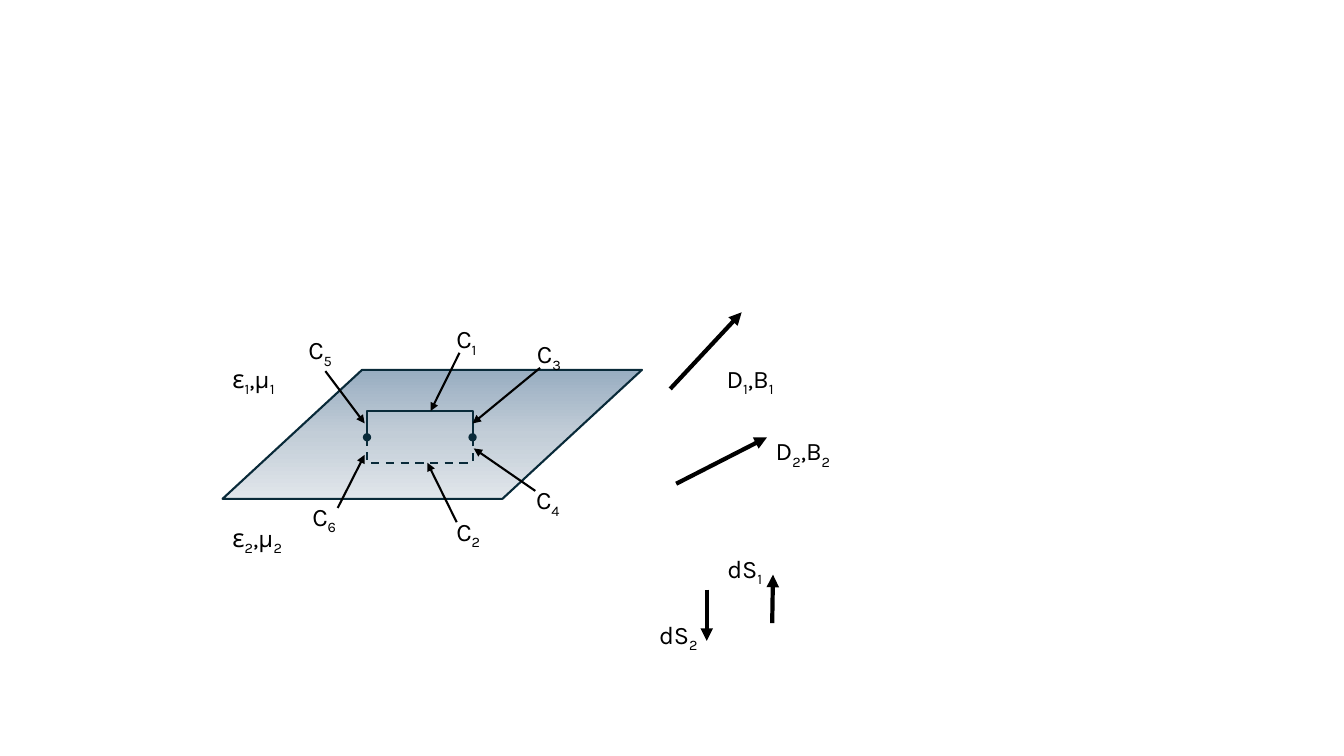
from copy import deepcopy
from itertools import groupby

from pptx import Presentation
from pptx.dml.color import RGBColor
from pptx.enum.dml import MSO_LINE
from pptx.enum.shapes import MSO_CONNECTOR, MSO_SHAPE
from pptx.enum.text import MSO_AUTO_SIZE as AutoSize
from pptx.oxml.ns import qn
from pptx.util import Cm, Pt
from lxml.etree import SubElement

FONT = "Karla"
COLORS = {
    "ink": "000000",
    "outline": "092A39",
    "plane_top": "98ADC1",
    "plane_middle": "C2CDD7",
    "plane_bottom": "E1E6EB",
}

# Labels: text (digits become subscripts), left, top, width in cm
MEDIUM_LABELS = [("ε1,μ1", 5.61, 9.02, 2.79), ("ε2,μ2", 5.61, 13.03, 2.79)]
VECTOR_LABELS = [
    ("D1,B1", 18.06, 9.02, 2.16),
    ("D2,B2", 19.3, 10.85, 2.16),
    ("dS1", 18.08, 13.82, 1.7),
    ("dS2", 16.36, 15.47, 1.7),
]
CONTOUR_LABELS = [
    ("C1", 11.25, 8.03, 1.37),
    ("C2", 11.25, 12.88, 1.37),
    ("C3", 13.28, 8.41, 1.37),
    ("C4", 13.26, 12.09, 1.37),
    ("C5", 7.52, 8.31, 1.37),
    ("C6", 7.62, 12.5, 1.37),
]

# Arrows: tail x, tail y, head x, head y in cm
VECTOR_ARROWS = [
    (16.89, 9.8, 18.69, 7.87),
    (17.04, 12.19, 19.33, 11.02),
    (19.46, 15.7, 19.48, 14.48),
    (17.81, 14.86, 17.81, 16.15),
]
CONTOUR_ARROWS = [
    (11.58, 8.89, 10.85, 10.36),
    (11.51, 13.16, 10.77, 11.66),
    (13.61, 9.27, 11.91, 10.67),
    (13.49, 12.37, 11.94, 11.3),
    (8.2, 9.35, 9.19, 10.67),
    (8.51, 12.8, 9.19, 11.46),
]

# Contour crossing the boundary, in cm
LEFT, RIGHT = 9.25, 11.91
TOP, BOUNDARY, BOTTOM = 10.36, 11.02, 11.66


def rgb(name):
    return RGBColor.from_string(COLORS[name])


def style_line(line, color, width):
    line.color.rgb = rgb(color)
    line.width = Pt(width)


def add_line_end(shape, end, kind):
    SubElement(shape.line._get_or_add_ln(), qn(f"a:{end}"), type=kind)


def add_plane(slide):
    plane = slide.shapes.add_shape(
        MSO_SHAPE.PARALLELOGRAM, Cm(5.61), Cm(9.32), Cm(10.57), Cm(3.25))
    plane.adjustments[0] = 1.082
    plane.shadow.inherit = False
    style_line(plane.line, "outline", 1.5)
    plane.fill.gradient()
    plane.fill.gradient_angle = 270
    # A third stop in the middle of the gradient
    stops = plane._element.spPr.find(qn("a:gradFill")).find(qn("a:gsLst"))
    stops.insert(1, deepcopy(stops[0]))
    shades = ("plane_top", "plane_middle", "plane_bottom")
    for index, (stop, shade) in enumerate(zip(plane.fill.gradient_stops, shades)):
        stop.position = index / 2
        stop.color.rgb = rgb(shade)


def add_half_contour(slide, far_side):
    """Draw three sides, from the boundary round the far side and back."""
    builder = slide.shapes.build_freeform(Cm(LEFT), Cm(BOUNDARY))
    corners = [(LEFT, far_side), (RIGHT, far_side), (RIGHT, BOUNDARY)]
    builder.add_line_segments([(Cm(x), Cm(y)) for x, y in corners], close=False)
    half = builder.convert_to_shape()
    half.shadow.inherit = False
    half.fill.background()
    style_line(half.line, "outline", 1.5)
    return half


def add_arrow(slide, ends, width):
    arrow = slide.shapes.add_connector(
        MSO_CONNECTOR.STRAIGHT, *[Cm(value) for value in ends])
    style_line(arrow.line, "ink", width)
    add_line_end(arrow, "tailEnd", "triangle")
    SubElement(arrow._element.spPr, qn("a:effectLst"))


def add_label(slide, text, left, top, width):
    label = slide.shapes.add_textbox(Cm(left), Cm(top), Cm(width), Cm(1.03))
    frame = label.text_frame
    frame.word_wrap = True
    frame.auto_size = AutoSize.SHAPE_TO_FIT_TEXT
    for is_subscript, letters in groupby(text, str.isdigit):
        run = frame.paragraphs[0].add_run()
        run.text = "".join(letters)
        run.font.name = FONT
        run.font.size = Pt(18)
        run.font.color.rgb = rgb("ink")
        if is_subscript:
            run.font._element.set("baseline", "-25000")


def main():
    prs = Presentation()
    prs.slide_width, prs.slide_height = Cm(33.87), Cm(19.05)
    slide = prs.slides.add_slide(prs.slide_layouts[6])

    # Boundary plane between the two media
    add_plane(slide)

    # Contour: solid above the boundary, dashed below
    upper_half = add_half_contour(slide, TOP)
    for end in ("headEnd", "tailEnd"):
        add_line_end(upper_half, end, "oval")
    lower_half = add_half_contour(slide, BOTTOM)
    lower_half.line.dash_style = MSO_LINE.DASH

    # Field vectors and pointers to the contour parts
    for ends in VECTOR_ARROWS:
        add_arrow(slide, ends, 3)
    for ends in CONTOUR_ARROWS:
        add_arrow(slide, ends, 1.5)

    # Labels
    for label in MEDIUM_LABELS + VECTOR_LABELS + CONTOUR_LABELS:
        add_label(slide, *label)

    prs.save("out.pptx")


if __name__ == "__main__":
    main()
